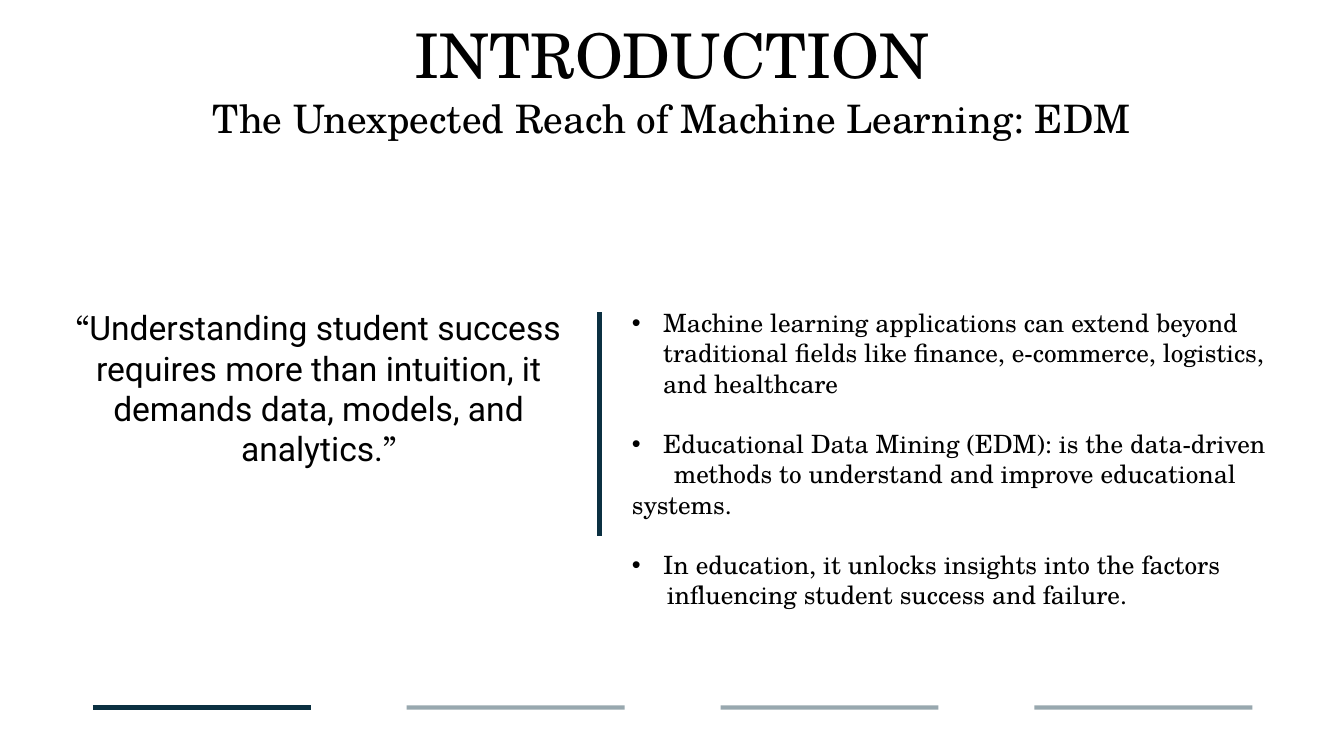
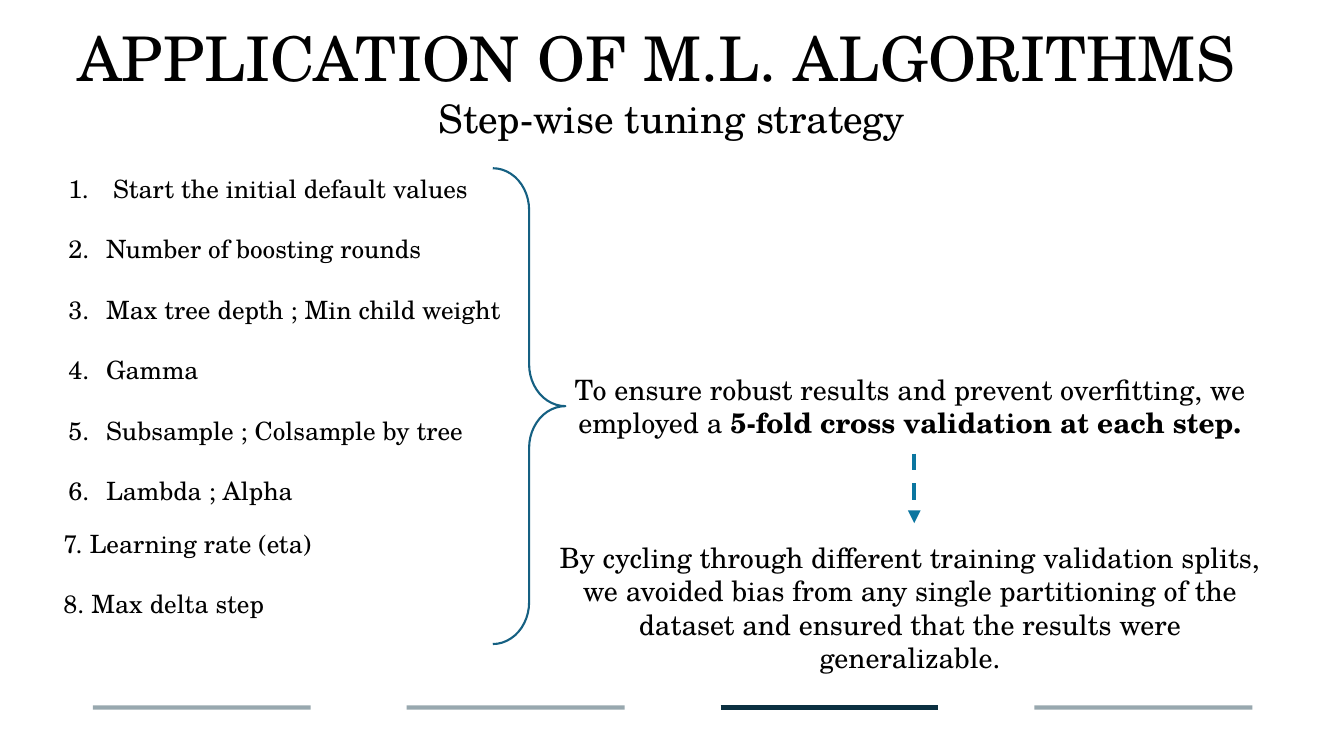
"""Build two slides on educational data mining and step-wise model tuning."""
from lxml.etree import SubElement
from pptx import Presentation
from pptx.dml.color import RGBColor
from pptx.enum.dml import MSO_LINE_DASH_STYLE as Dash
from pptx.enum.shapes import MSO_CONNECTOR as Connector, MSO_SHAPE as Shape
from pptx.enum.text import MSO_ANCHOR as Anchor, MSO_AUTO_SIZE as AutoSize, PP_ALIGN as Align
from pptx.oxml.ns import qn
from pptx.util import Cm, Pt

BLACK = RGBColor(0x00, 0x00, 0x00)
NAVY = RGBColor(0x0B, 0x30, 0x41)
BRACE_BLUE = RGBColor(0x15, 0x60, 0x82)
ARROW_BLUE = RGBColor(0x0B, 0x76, 0xA0)
SERIF = "TeX Gyre Schola"
SANS = "Roboto"
LIST_GAP = 21.6


def write(frame, paragraphs, size, align=Align.CENTER):
    """Fill a frame with (space before, [(text, font, bold), ...]) paragraphs."""
    frame.word_wrap = True
    frame.auto_size = AutoSize.NONE
    for number, (gap, runs) in enumerate(paragraphs):
        paragraph = frame.add_paragraph() if number else frame.paragraphs[0]
        paragraph.alignment = align
        paragraph.space_before = Pt(gap)
        for text, font, bold in runs:
            run = paragraph.add_run()
            run.text = text
            run.font.name = font
            run.font.size = Pt(size)
            run.font.bold = bold
            run.font.color.rgb = BLACK


def draw_line(slide, x1, y1, x2, y2, color):
    """Draw a straight 3 pt line without shadow, in centimetres."""
    line = slide.shapes.add_connector(Connector.STRAIGHT, Cm(x1), Cm(y1), Cm(x2), Cm(y2))
    line.line.color.rgb = color
    line.line.width = Pt(3)
    SubElement(line._element.spPr, qn("a:effectLst"))
    return line


introduction = {
    "title": "INTRODUCTION",
    "title_box": (2.34, -0.36, 29.21, 3.68),
    "subtitle": "The Unexpected Reach of Machine Learning: EDM",
    "section": 0,
    "list_box": (15.67, 7.62, 17.68, 7.95),
    "items": [
        ("Machine learning applications can extend beyond traditional fields like "
         "finance, e-commerce, logistics, and healthcare", "bullet", 0.79, -0.79, 0),
        ("Educational Data Mining (EDM): is the data-driven", "bullet", 0.79, -0.79, LIST_GAP),
        ("methods to understand and improve educational systems.", None, 0, 1.06, 0),
        ("In education, it unlocks insights into the factors", "bullet", 0.79, -0.79, LIST_GAP),
        ("influencing student success and failure.", None, 0, 0.88, 0),
    ],
}
tuning_steps = [
    " Start the initial default values",
    "Number of boosting rounds",
    "Max tree depth ; Min child weight",
    "Gamma",
    "Subsample ; Colsample by tree",
    "Lambda ; Alpha",
]
tuning = {
    "title": "APPLICATION OF M.L. ALGORITHMS",
    "title_box": (1.55, -0.28, 30, 3.68),
    "subtitle": "Step-wise tuning strategy",
    "section": 2,
    "list_box": (1.47, 4.24, 13.39, 8.71),
    "items": [(step, "number", 0.95, -0.95, LIST_GAP if i else 0)
              for i, step in enumerate(tuning_steps)],
}

deck = Presentation()
deck.slide_width = Cm(33.87)
deck.slide_height = Cm(19.05)

for content in (introduction, tuning):
    slide = deck.slides.add_slide(deck.slide_layouts[1])
    content["slide"] = slide

    title = slide.shapes.title
    title.left, title.top, title.width, title.height = map(Cm, content["title_box"])
    write(title.text_frame, [(0, [(content["title"], SERIF, False)])], 44)
    title.text_frame.vertical_anchor = Anchor.MIDDLE
    title.text_frame.paragraphs[0].line_spacing = 0.9

    subtitle = slide.shapes.add_textbox(Cm(4.93), Cm(2.24), Cm(24), Cm(1.45))
    write(subtitle.text_frame, [(0, [(content["subtitle"], SERIF, False)])], 28)

    points = slide.placeholders[1]
    points.left, points.top, points.width, points.height = map(Cm, content["list_box"])
    write(points.text_frame,
          [(gap, [(text, SERIF, False)]) for text, _, _, _, gap in content["items"]],
          18, Align.LEFT)
    for paragraph, item in zip(points.text_frame.paragraphs, content["items"]):
        _, marker, margin, indent, _ = item
        properties = paragraph._p.get_or_add_pPr()
        properties.set("marL", str(Cm(margin)))
        properties.set("indent", str(Cm(indent)))
        if marker == "bullet":
            SubElement(properties, qn("a:buFont"), typeface="Arial")
            SubElement(properties, qn("a:buChar"), char="•")
        elif marker == "number":
            SubElement(properties, qn("a:buFont"), typeface="+mj-lt")
            SubElement(properties, qn("a:buAutoNum"), type="arabicPeriod")
        else:
            SubElement(properties, qn("a:buNone"))

    for section in range(4):
        left = 2.34 + section * 7.91
        progress = draw_line(slide, left, 17.83, left + 5.49, 17.83, NAVY)
        if section != content["section"]:
            color = progress._element.spPr.find(".//" + qn("a:srgbClr"))
            SubElement(color, qn("a:alpha"), val="42000")

slide = introduction["slide"]
quote = slide.shapes.add_textbox(Cm(1.5), Cm(7.62), Cm(13.06), Cm(4.83))
write(quote.text_frame, [(0, [
    ("“", SERIF, False),
    ("Understanding student success requires more than intuition, it demands data, "
     "models, and analytics.", SANS, False),
    ("”", SERIF, False),
])], 24)
draw_line(slide, 15.11, 7.87, 15.11, 13.51, NAVY)

slide = tuning["slide"]
for top, step in ((13.18, "7. Learning rate (eta)"), (14.71, "8. Max delta step")):
    last_step = slide.shapes.add_textbox(Cm(1.35), Cm(top), Cm(6.88), Cm(1.02))
    write(last_step.text_frame, [(0, [(step, SERIF, False)])], 18, Align.LEFT)

brace = slide.shapes.add_shape(Shape.RIGHT_BRACE, Cm(12.42), Cm(4.24), Cm(1.83), Cm(11.99))
brace.adjustments[0] = 0.577
brace.adjustments[1] = 0.5
brace.shadow.inherit = False
brace.fill.background()
brace.line.color.rgb = BRACE_BLUE
brace.line.width = Pt(1.5)

validation = slide.shapes.add_textbox(Cm(13.74), Cm(9.25), Cm(18.39), Cm(7.09))
write(validation.text_frame, [
    (0, [
        ("To ensure robust results and prevent overfitting, we employed a", SERIF, False),
        (" 5-fold cross validation at each step.", SERIF, True),
    ]),
    (72, [
        ("By cycling through different training validation splits, we avoided bias from "
         "any single partitioning of the dataset and ensured that the results were "
         "generalizable.", SERIF, False),
    ]),
], 20)

arrow = draw_line(slide, 23.04, 11.43, 23.04, 13.18, ARROW_BLUE)
arrow.line.dash_style = Dash.DASH
SubElement(arrow.line._get_or_add_ln(), qn("a:tailEnd"), type="triangle")

deck.save("out.pptx")
